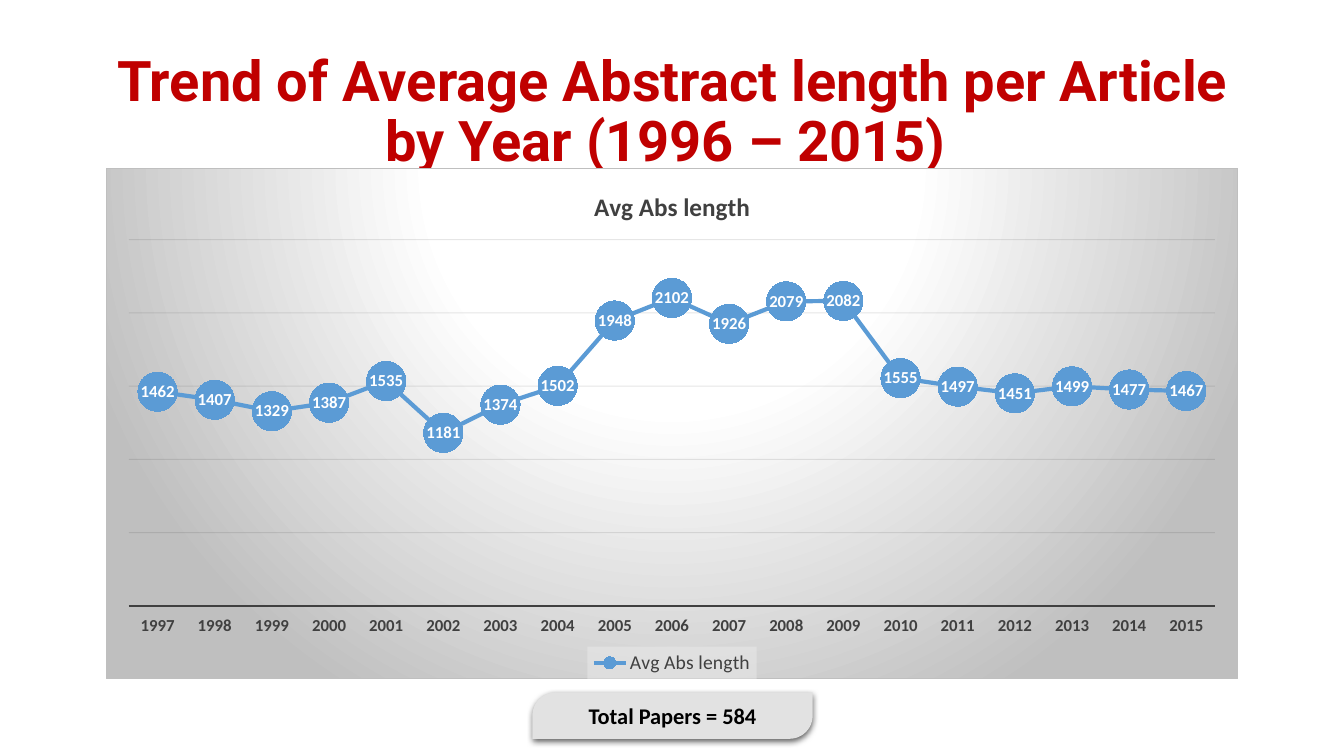
from lxml import etree
from pptx import Presentation
from pptx.chart.data import CategoryChartData
from pptx.dml.color import RGBColor
from pptx.enum.chart import (XL_CHART_TYPE, XL_LABEL_POSITION, XL_LEGEND_POSITION,
                             XL_MARKER_STYLE, XL_TICK_LABEL_POSITION, XL_TICK_MARK)
from pptx.enum.shapes import MSO_SHAPE
from pptx.enum.text import MSO_ANCHOR, PP_ALIGN
from pptx.oxml import parse_xml
from pptx.util import Inches, Pt

NS = ('xmlns:a="http://schemas.openxmlformats.org/drawingml/2006/main" '
      'xmlns:c="http://schemas.openxmlformats.org/drawingml/2006/chart"')
BLUE, DARK, GREY = "5B9BD5", "404040", "BFBFBF"


def rgb(value):
    return RGBColor.from_string(value)


def set_font(font, size, color, bold=False, name="Calibri"):
    font.name, font.size, font.bold = name, Pt(size), bold
    font.color.rgb = rgb(color)


prs = Presentation()
prs.slide_width, prs.slide_height = Inches(13.33), Inches(7.5)
W, H = prs.slide_width, prs.slide_height
s = prs.slides.add_slide(prs.slide_layouts[6])

# Title
title = s.shapes.add_textbox(int(W * 0.069), Inches(0.4), int(W * 0.8625), Inches(1.45))
tf = title.text_frame
tf.word_wrap, tf.vertical_anchor = True, MSO_ANCHOR.MIDDLE
p = tf.paragraphs[0]
p.text = "Trend of Average Abstract length per Article by Year (1996 – 2015) "
p.alignment, p.line_spacing = PP_ALIGN.CENTER, 0.9
set_font(p.font, 40, "C00000", True, "Roboto")

# Chart data
lengths = [1462, 1407, 1329, 1387, 1535, 1181, 1374, 1502, 1948, 2102,
           1926, 2079, 2082, 1555, 1497, 1451, 1499, 1477, 1467]
data = CategoryChartData(number_format="0")
data.categories = [str(1997 + i) for i in range(len(lengths))]
data.add_series("Avg Abs length", lengths)
chart = s.shapes.add_chart(XL_CHART_TYPE.LINE_MARKERS, Inches(1.05), Inches(1.67),
                           Inches(11.23), Inches(5.07), data).chart
set_font(chart.font, 10, "000000")

# Chart title and legend
chart.has_title = True
p = chart.chart_title.text_frame.paragraphs[0]
p.text = "Avg Abs length"
set_font(p.font, 18, DARK, True)
chart.has_legend = True
legend = chart.legend
legend.position, legend.include_in_layout = XL_LEGEND_POSITION.BOTTOM, False
set_font(legend.font, 14, DARK)
legend_fill = parse_xml(
    f'<c:spPr {NS}><a:solidFill><a:srgbClr val="F2F2F2"><a:alpha val="39000"/>'
    '</a:srgbClr></a:solidFill></c:spPr>')
legend.font  # text properties follow the fill
legend._element.get_or_add_txPr().addprevious(legend_fill)

# Axes
years = chart.category_axis
years.major_tick_mark = XL_TICK_MARK.NONE
years.tick_label_position = XL_TICK_LABEL_POSITION.LOW
set_font(years.tick_labels.font, 12, DARK, True)
years.format.line.color.rgb, years.format.line.width = rgb(DARK), Pt(1.5)
values = chart.value_axis
values.minimum_scale, values.maximum_scale, values.major_unit = 0, 2500, 500
values.visible = False
values.has_major_gridlines = True
grid = values.major_gridlines.format.line
grid.color.rgb, grid.width = rgb("0D0D0D"), Pt(0.75)
grid_color = values.major_gridlines._xAx.xpath("c:majorGridlines//a:srgbClr")[0]
grid_color.append(parse_xml(f'<a:alpha {NS} val="10000"/>'))

# Series line, markers and labels
series = chart.plots[0].series[0]
series.smooth = False
series.format.line.color.rgb, series.format.line.width = rgb(BLUE), Pt(3)
marker = series.marker
marker.style, marker.size = XL_MARKER_STYLE.CIRCLE, 28
marker.format.fill.solid()
marker.format.fill.fore_color.rgb = rgb(BLUE)
marker.format.line.fill.background()
labels = series.data_labels
labels.show_value, labels.position = True, XL_LABEL_POSITION.CENTER
set_font(labels.font, 12, "FFFFFF", True)

# Plot area as shares of the chart
plot_area = chart._chartSpace.chart.plotArea
for old in plot_area.xpath("c:layout"):
    plot_area.remove(old)
shares = "".join(f'<c:{k} val="{v}"/>' for k, v in
                 (("x", 0.02), ("y", 0.139), ("w", 0.96), ("h", 0.718)))
plot_area.insert(0, parse_xml(
    f'<c:layout {NS}><c:manualLayout><c:layoutTarget val="inner"/>'
    f'<c:xMode val="edge"/><c:yMode val="edge"/>{shares}</c:manualLayout></c:layout>'))

# Chart background: radial gradient and thin border
stops = "".join(f'<a:gs pos="{pos}000"><a:srgbClr val="{color}"/></a:gs>'
                for pos, color in ((0, "FFFFFF"), (39, "FFFFFF"), (100, GREY)))
chart._chartSpace.chart.addnext(parse_xml(
    f'<c:spPr {NS}><a:gradFill><a:gsLst>{stops}</a:gsLst><a:path path="circle">'
    '<a:fillToRect l="50000" t="-80000" r="50000" b="180000"/></a:path></a:gradFill>'
    f'<a:ln w="9525"><a:solidFill><a:srgbClr val="{GREY}"/></a:solidFill></a:ln></c:spPr>'))
if not chart._chartSpace.xpath("c:roundedCorners"):
    chart._chartSpace.xpath("c:date1904")[0].addnext(
        parse_xml(f'<c:roundedCorners {NS} val="0"/>'))

# Total badge with a soft shadow
sp = s.shapes.add_shape(MSO_SHAPE.ROUND_2_DIAG_RECTANGLE, Inches(5.28), Inches(6.87),
                        Inches(2.78), Inches(0.46))
sp.adjustments[0], sp.adjustments[1] = 0.5, 0
sp.fill.solid()
sp.fill.fore_color.rgb = rgb("E2E2E2")
sp.line.fill.background()
sp.shadow.inherit = False
effects = sp._element.spPr.xpath("a:effectLst")[0]
effects.append(etree.fromstring(
    f'<a:outerShdw {NS} blurRad="57150" dist="19050" dir="5400000" algn="ctr" '
    'rotWithShape="0"><a:srgbClr val="000000"><a:alpha val="63000"/></a:srgbClr>'
    '</a:outerShdw>'))
tf = sp.text_frame
tf.vertical_anchor = MSO_ANCHOR.MIDDLE
p = tf.paragraphs[0]
p.text, p.alignment = "Total Papers = 584", PP_ALIGN.CENTER
set_font(p.font, 16, "000000", True)

prs.save("out.pptx")
